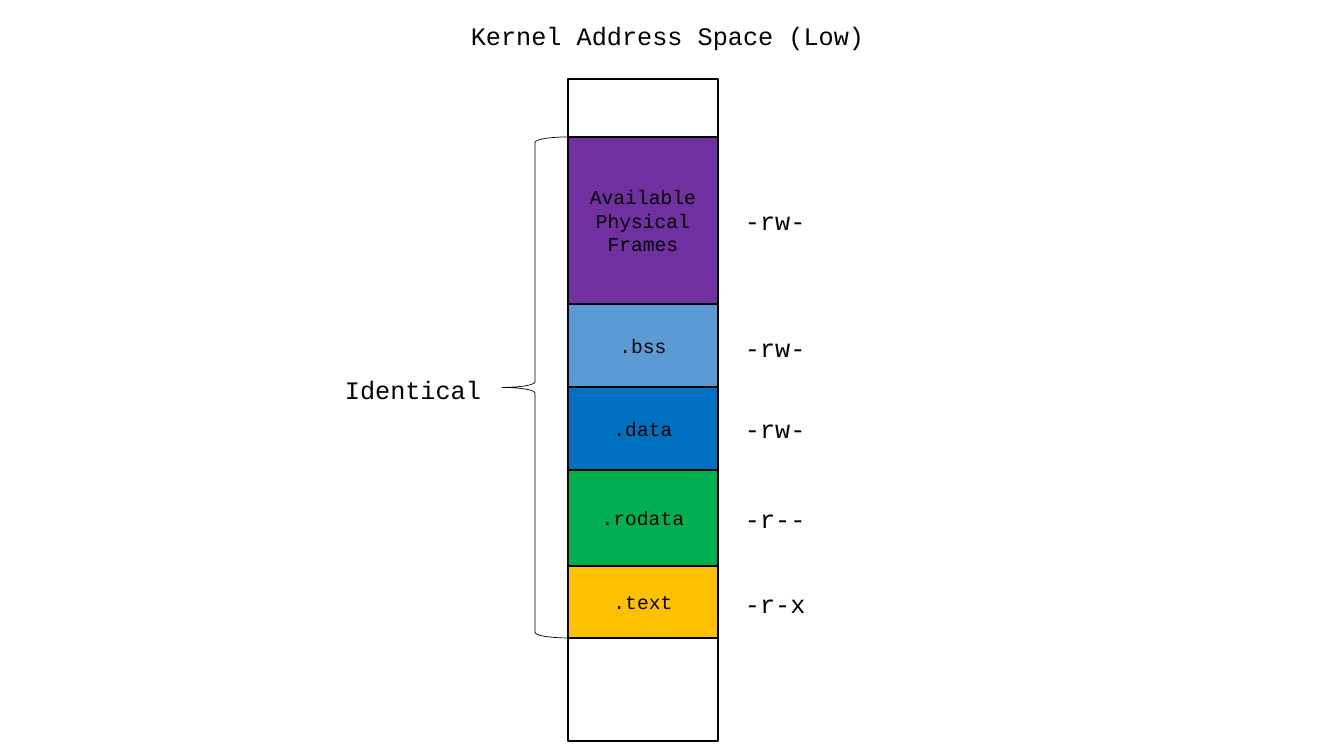
import pptx
import pptx.util
from pptx.dml.color import RGBColor
from pptx.enum.shapes import MSO_SHAPE
from pptx.enum.text import MSO_ANCHOR, MSO_AUTO_SIZE, PP_ALIGN

# Content: lines, height, fill, permissions, vertical nudge of the permissions (px)
TITLE = "Kernel Address Space (Low)"
BRACE_LABEL = "Identical"
SECTIONS = [
    (["Available", "Physical", "Frames"], 167, "purple", "-rw-", 0),
    ([".bss"], 83, "light_blue", "-rw-", 2),
    ([".data"], 83, "blue", "-rw-", 0),
    ([".rodata"], 96, "green", "-r--", 0),
    ([".text"], 72, "amber", "-r-x", 1),
]

THEME = {
    "font": "Courier New",
    "label_size": 18, "section_size": 14,
    "outline": 1, "brace_line": 0.5,
    "ink": "000000", "paper": "FFFFFF",
    "purple": "7030A0", "light_blue": "5B9BD5", "blue": "0070C0",
    "green": "00B050", "amber": "FFC000",
}

# Layout in px
PX_PER_INCH = 100.8
PAGE_SIZE = (1344, 756)
COLUMN = (568, 79, 150, 662)
SECTIONS_TOP = 137
BRACE_WIDTH = 66
LABEL_HEIGHT = 40


def px(length):
    return pptx.util.Inches(length / PX_PER_INCH)


def color(name):
    return RGBColor.from_string(THEME[name])


def write(frame, lines, size, align):
    for index, line in enumerate(lines):
        para = frame.paragraphs[0] if index == 0 else frame.add_paragraph()
        para.alignment = align
        span = para.add_run()
        span.text = line
        span.font.name = THEME["font"]
        span.font.size = pptx.util.Pt(THEME[size])
        span.font.color.rgb = color("ink")


def add_outline(page, kind, area, line, fill=None):
    shape = page.shapes.add_shape(kind, *map(px, area))
    shape.shadow.inherit = False
    if fill:
        shape.fill.solid()
        shape.fill.fore_color.rgb = color(fill)
    else:
        shape.fill.background()
    shape.line.color.rgb = color("ink")
    shape.line.width = pptx.util.Pt(THEME[line])
    return shape


def add_label(page, text, left, top, width):
    box = page.shapes.add_textbox(px(left), px(top), px(width), px(LABEL_HEIGHT))
    frame = box.text_frame
    frame.word_wrap = True
    frame.auto_size = MSO_AUTO_SIZE.SHAPE_TO_FIT_TEXT
    write(frame, [text], "label_size", PP_ALIGN.LEFT)


def main():
    deck = pptx.Presentation()
    deck.slide_width, deck.slide_height = map(px, PAGE_SIZE)
    page = deck.slides.add_slide(deck.slide_layouts[6])

    # Address space column and title
    add_outline(page, MSO_SHAPE.RECTANGLE, COLUMN, "outline", "paper")
    add_label(page, TITLE, 461, 15, 422)

    # Stacked sections with their permissions
    left, _, width, _ = COLUMN
    top = SECTIONS_TOP
    for lines, height, fill, permissions, nudge in SECTIONS:
        section = add_outline(page, MSO_SHAPE.RECTANGLE, (left, top, width, height), "outline", fill)
        section.text_frame.word_wrap = True
        section.text_frame.vertical_anchor = MSO_ANCHOR.MIDDLE
        write(section.text_frame, lines, "section_size", PP_ALIGN.CENTER)
        add_label(page, permissions, 735, top + (height - LABEL_HEIGHT) / 2 + nudge, 128)
        top += height

    # Brace spanning every section
    brace_area = (left - BRACE_WIDTH, SECTIONS_TOP, BRACE_WIDTH, top - SECTIONS_TOP)
    add_outline(page, MSO_SHAPE.LEFT_BRACE, brace_area, "brace_line")
    add_label(page, BRACE_LABEL, 335, 369, 159)

    deck.save("out.pptx")


if __name__ == "__main__":
    main()
